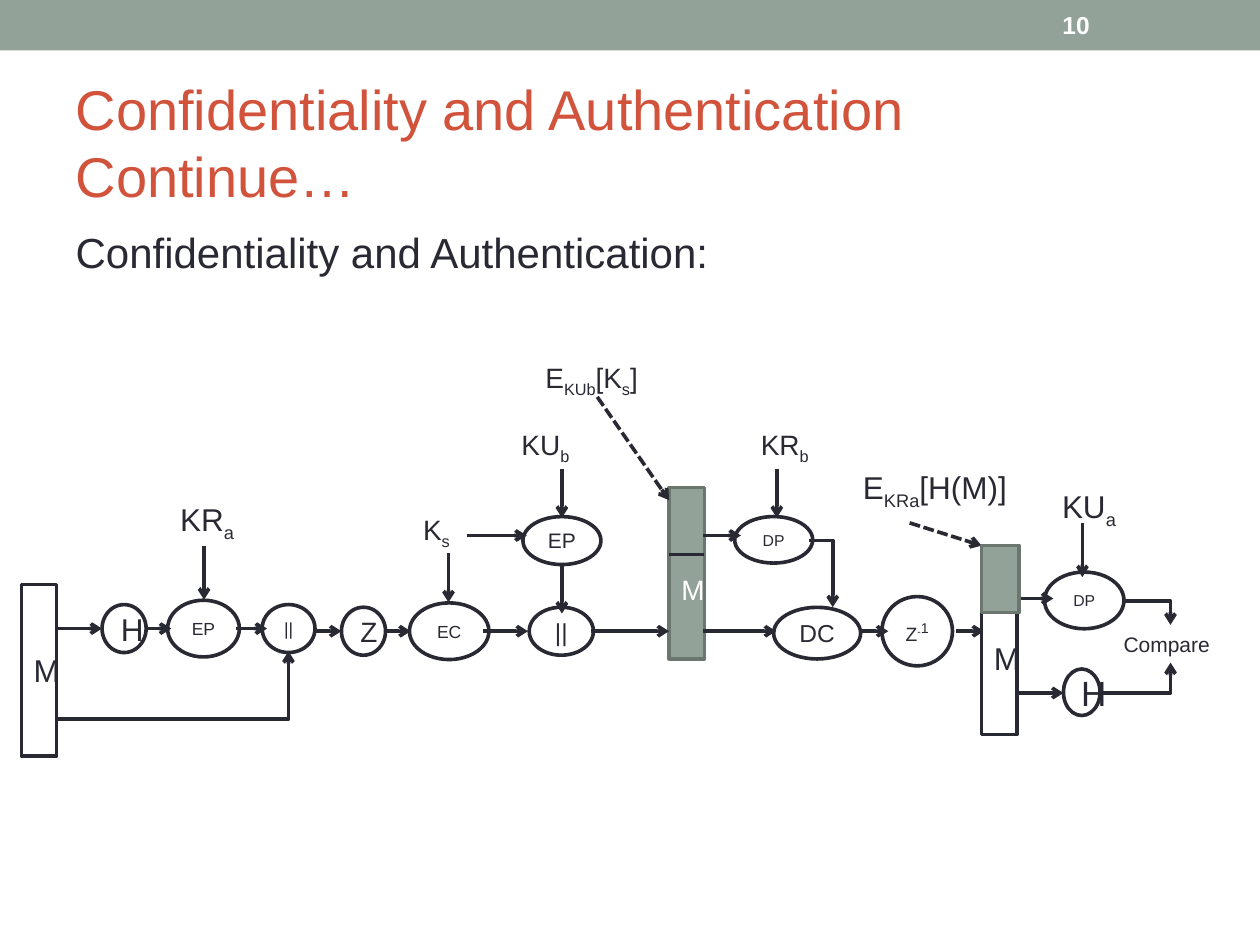
from dataclasses import dataclass
from typing import Any

from lxml import etree
from pptx import Presentation
from pptx.dml.color import RGBColor
from pptx.enum import dml, shapes, text
from pptx.oxml import ns
from pptx.util import Pt

COLORS = {"ink": "292934", "sage": "93A299", "sage_edge": "6B766F",
          "title": "D2533C", "white": "FFFFFF"}
FONT = "Arial"
STROKE = 2.07
SUBSCRIPT, SUPERSCRIPT = -25000, 30000


def rgb(name):
    return RGBColor.from_string(COLORS[name])


def format_run(run, size, color="ink", baseline=0):
    run.font.name, run.font.size = FONT, Pt(size)
    run.font.color.rgb = rgb(color)
    if baseline:
        run._r.get_or_add_rPr().set("baseline", str(baseline))


def write(frame, parts, color="ink"):
    """Fill the first paragraph with (wording, size, baseline) parts."""
    paragraph = frame.paragraphs[0]
    for wording, size, baseline in parts:
        run = paragraph.add_run()
        run.text = wording
        format_run(run, size, color, baseline)


@dataclass
class Region:
    """Part of the diagram; its parts are placed from its top left corner."""
    slide: Any
    left: float
    top: float

    def box(self, x, y, w, h):
        return Pt(self.left + x), Pt(self.top + y), Pt(w), Pt(h)

    def block(self, kind, x, y, w, h, parts=(), fill="white", edge="ink", color="ink"):
        block = self.slide.shapes.add_shape(kind, *self.box(x, y, w, h))
        block.shadow.inherit = False
        block.fill.solid()
        block.fill.fore_color.rgb = rgb(fill)
        block.line.color.rgb = rgb(edge)
        block.line.width = Pt(STROKE)
        write(block.text_frame, parts, color)
        return block

    def oval(self, x, middle, w, h, wording, size):
        return self.step(x, middle, w, h, [(wording, size, 0)])

    def step(self, x, middle, w, h, parts):
        return self.block(shapes.MSO_SHAPE.OVAL, x, middle - h / 2, w, h, parts)

    def bar(self, x, y, w, h, parts=(), **colors):
        return self.block(shapes.MSO_SHAPE.RECTANGLE, x, y, w, h, parts, **colors)

    def label(self, x, y, w, h, wording, size):
        """Underscores switch between normal text and subscript."""
        label = self.slide.shapes.add_textbox(*self.box(x, y, w, h))
        frame = label.text_frame
        frame.word_wrap = True
        frame.auto_size = text.MSO_AUTO_SIZE.SHAPE_TO_FIT_TEXT
        write(frame, [(part, size, SUBSCRIPT if i % 2 else 0)
                      for i, part in enumerate(wording.split("_")) if part])

    def line(self, x1, y1, x2, y2, head=True, dashed=False, bent=False):
        kind = shapes.MSO_CONNECTOR.ELBOW if bent else shapes.MSO_CONNECTOR.STRAIGHT
        line = self.slide.shapes.add_connector(
            kind, *self.box(x1, y1, 0, 0)[:2], *self.box(x2, y2, 0, 0)[:2])
        line.line.color.rgb = rgb("ink")
        line.line.width = Pt(STROKE)
        if dashed:
            line.line.dash_style = dml.MSO_LINE.SQUARE_DOT
        properties = line._element.spPr
        if bent:  # one corner: across, then up or down
            properties.find(ns.qn("a:prstGeom")).set("prst", "bentConnector2")
        if head:
            etree.SubElement(line.line._get_or_add_ln(), ns.qn("a:tailEnd"), type="arrow")
        etree.SubElement(properties, ns.qn("a:effectLst"))

    def across(self, y, *spans):
        for start, end in spans:
            self.line(start, y, end, y)

    def down(self, x, start, end):
        self.line(x, start, x, end)


def header(slide, left, top, width, height):
    region = Region(slide, left, top)
    band = region.bar(0, 0, width, height, fill="sage")
    band.line.fill.background()
    number = slide.shapes.add_textbox(*region.box(600, 1.4, 84, 26))
    number.text_frame.word_wrap = True
    number.text_frame.vertical_anchor = text.MSO_ANCHOR.MIDDLE
    number.text_frame.text = "10"
    run = number.text_frame.paragraphs[0].runs[0]
    format_run(run, 14, "white")
    run.font.bold = True


def heading(slide, left, top, width):
    region = Region(slide, left, top)
    title, body = slide.shapes.title, slide.placeholders[1]
    for holder, y, height, wording, size, color, anchor in (
            (title, 0, 77.8, "Confidentiality and Authentication Continue…",
             32, "title", text.MSO_ANCHOR.MIDDLE),
            (body, 84.2, 383.8, "Confidentiality and Authentication:",
             24, "ink", text.MSO_ANCHOR.TOP)):
        holder.left, holder.top, holder.width, holder.height = region.box(0, y, width, height)
        frame = holder.text_frame
        frame.auto_size = text.MSO_AUTO_SIZE.NONE
        frame.vertical_anchor = anchor
        frame.text = wording
        frame.paragraphs[0].alignment = text.PP_ALIGN.LEFT
        format_run(frame.paragraphs[0].runs[0], size, color)
    paragraph = body.text_frame.paragraphs[0]
    paragraph.space_before = Pt(6)
    properties = paragraph._p.get_or_add_pPr()
    properties.set("marL", "0")
    properties.set("indent", "0")
    etree.SubElement(properties, ns.qn("a:buNone"))


def signing(slide, left, top):
    """The sender hashes and signs the message."""
    region, row = Region(slide, left, top), 77
    region.bar(0, 51.9, 20.2, 97.9, [("M", 18, 0)])
    region.oval(46.1, row, 25.2, 27.4, "H", 18)
    region.oval(83.6, row, 41, 32.4, "EP", 10)
    region.oval(137.6, row, 30.2, 27.4, "||", 10)
    region.across(row, (20.2, 46.1), (71.3, 85.7), (122.4, 140.4))
    region.line(20.2, 128.9, 152.7, 90, bent=True)
    region.label(83.6, 0, 54, 31.7, "KR_a", 18)
    region.down(104.4, 29.6, 60.5)


def encryption(slide, left, top):
    """The signed message is zipped, encrypted and joined with the key."""
    region, row = Region(slide, left, top), 158.4
    region.oval(25.9, row, 25.2, 27.4, "Z", 16)
    region.oval(64.8, row, 45.4, 32.4, "EC", 10)
    region.oval(133.2, row, 36.7, 27.4, "||", 14)
    region.oval(129.6, 106.6, 44.6, 27.4, "EP", 12)
    packet = region.bar(213.1, 76.3, 20.2, 97.9, [("M", 16, 0)],
                        fill="sage", edge="sage_edge", color="white")
    packet.text_frame.margin_top = Pt(22)
    region.line(213.1, 114.5, 233.3, 114.5, head=False)
    region.across(row, (0, 25.9), (51.1, 65.5), (106.6, 132.5), (168.5, 213.1))
    region.across(103.7, (97.9, 131.8))
    region.label(65.5, 87.1, 33.1, 29.5, "K_s", 16)
    region.label(135.4, 0, 77.8, 29.5, "E_KUb_[K_s_]", 16)
    region.label(121.7, 38.2, 56.9, 29.5, "KU_b", 16)
    region.down(87.1, 113.8, 141.9)
    region.down(151.9, 65.5, 93.6)
    region.down(151.9, 120.3, 148.3)
    region.line(172.1, 24.5, 213.1, 83.5, dashed=True)


def decryption(slide, left, top):
    """The receiver recovers the key, decrypts and unzips."""
    region, row = Region(slide, left, top), 120.2
    region.oval(18, 68, 44.6, 26.6, "DP", 9)
    region.oval(40.3, 121.3, 49.7, 29.5, "DC", 14)
    region.step(102.2, row, 40.3, 39.6,
                [("Z", 11, 0), ("-", 10, SUPERSCRIPT), ("1", 14, SUPERSCRIPT)])
    region.across(row, (0, 41.7), (90, 105.8), (144.7, 160.5))
    region.across(65.5, (0, 21.6))
    region.label(25.9, 0, 56.9, 29.5, "KR_b", 16)
    region.down(42.1, 27.3, 55.4)
    region.line(60.4, 68.4, 74.1, 106.5, bent=True)


def verification(slide, left, top):
    """The receiver compares the signed hash with a new one."""
    region = Region(slide, left, top)
    message = region.bar(74.9, 47.6, 20.2, 108, [("M", 18, 0)])
    message.text_frame.margin_top = Pt(24.3)
    region.oval(110.9, 78.9, 45.4, 32.4, "DP", 9)
    region.oval(121.7, 131.4, 20.9, 26.6, "H", 20)
    region.across(77.8, (96.5, 115.9))
    region.across(131.8, (96.5, 121.7))
    region.label(149, 92.9, 67, 21.6, "Compare", 12)
    region.line(156.2, 79.2, 182.9, 92.9, bent=True)
    region.line(143.3, 131.8, 182.9, 114.5, bent=True)
    region.label(113.8, 10.8, 47.5, 31.7, "KU_a", 18)
    region.label(0, 0, 101.5, 31.7, "E_KRa_[H(M)]", 18)
    region.down(132.5, 34.6, 65.6)
    region.line(33.8, 34.6, 74.9, 47.6, dashed=True)
    region.bar(74.9, 47.6, 21.6, 38.2, fill="sage", edge="sage_edge")


def main():
    deck = Presentation()
    deck.slide_width, deck.slide_height = Pt(720), Pt(540)
    slide = deck.slides.add_slide(deck.slide_layouts[1])
    header(slide, 0, 0, 720, 28.8)
    heading(slide, 36, 41.8, 648)
    encryption(slide, 169.2, 202.3)
    decryption(slide, 401.8, 240.5)
    signing(slide, 12.2, 282.2)
    verification(slide, 486, 264.2)
    deck.save("out.pptx")


if __name__ == "__main__":
    main()
